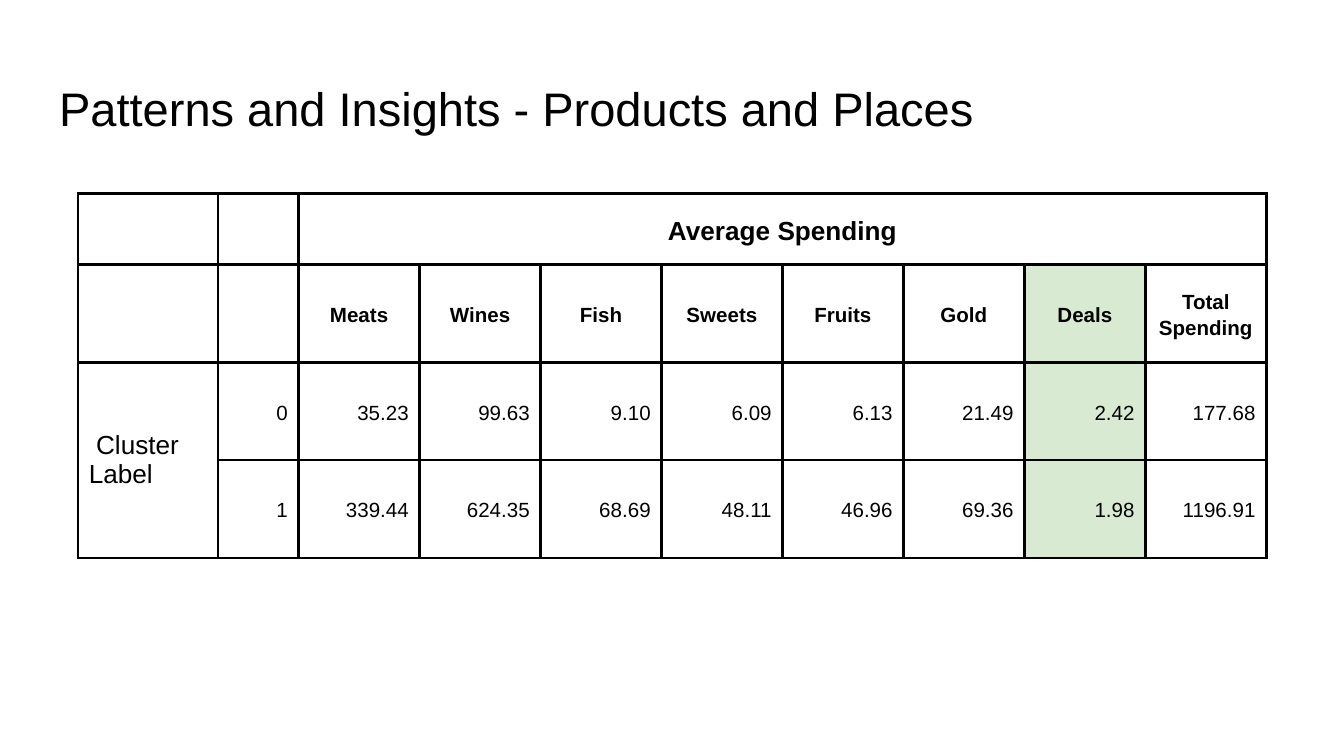
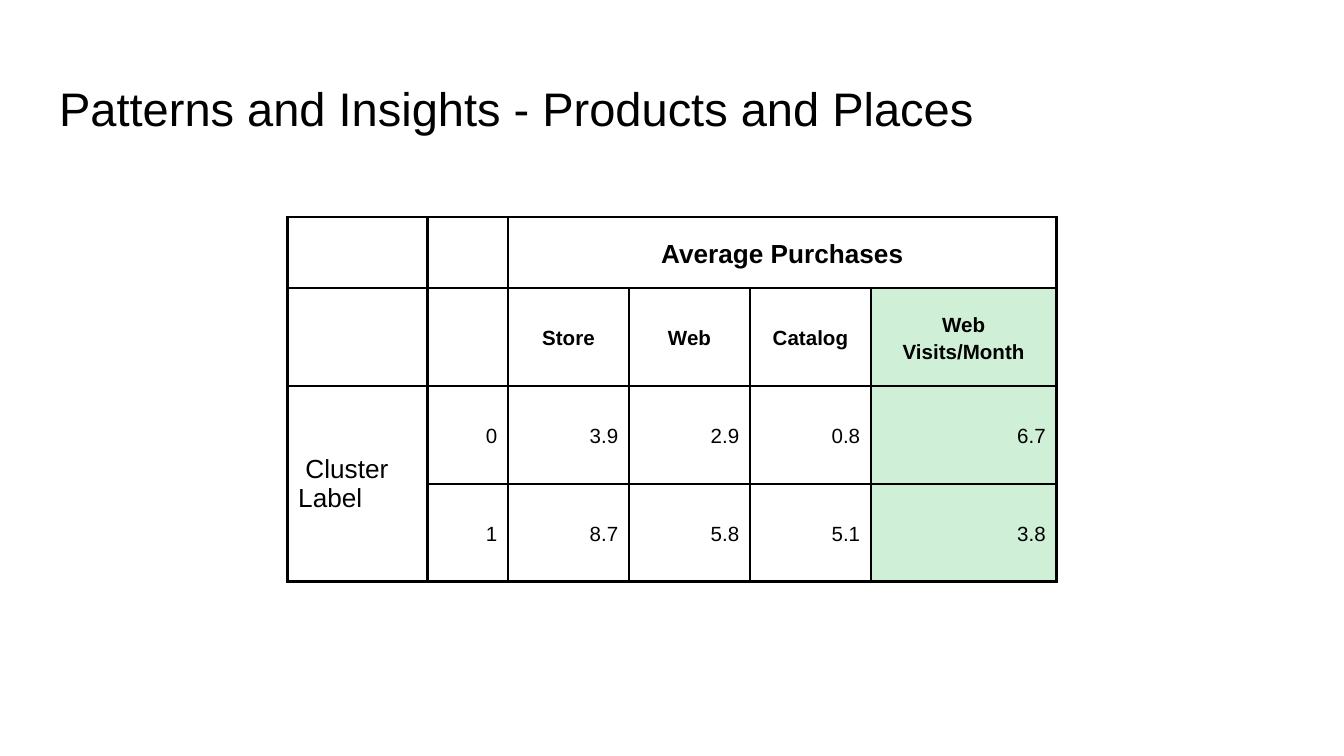
from lxml.etree import SubElement
from pptx import Presentation
from pptx.dml.color import RGBColor
from pptx.enum.text import MSO_ANCHOR, PP_ALIGN
from pptx.oxml.ns import qn
from pptx.util import Pt

TITLE = "Patterns and Insights - Products and Places"
SIDE = " Cluster Label"
FONT, INK, PAPER = "Arial", "000000", "FFFFFF"
ROWS = [38.2, 52.4, 52.4, 52.4]
SIDES = [75, 43.2]
UNIT = 64.8

TABLES = [
    {
        "head": "Average Spending",
        "at": (41.8, 103.6),
        "cols": ["Meats", "Wines", "Fish", "Sweets", "Fruits", "Gold",
                 "Deals", "Total Spending"],
        "wide": {},
        "data": [
            ["35.23", "99.63", "9.10", "6.09", "6.13", "21.49", "2.42", "177.68"],
            ["339.44", "624.35", "68.69", "48.11", "46.96", "69.36", "1.98", "1196.91"],
        ],
        "mark": ("Deals", "D9EAD3"),
    },
    {
        "head": "Average Purchases",
        "at": (154, 116.2),
        "cols": ["Store", "Web", "Catalog", "Web Visits/Month"],
        "wide": {"Web Visits/Month": 99.4},
        "data": [
            ["3.9", "2.9", "0.8", "6.7"],
            ["8.7", "5.8", "5.1", "3.8"],
        ],
        "mark": ("Web Visits/Month", "CFEFD6"),
    },
]


def color(code):
    return RGBColor.from_string(code)


def style(par, size, bold=False):
    for run in par.runs:
        run.font.name = FONT
        run.font.size = Pt(size)
        run.font.bold = bold
        run.font.color.rgb = color(INK)


def frame(cell, fill):
    props = cell._tc.get_or_add_tcPr()
    for tag in ("a:lnL", "a:lnR", "a:lnT", "a:lnB"):
        line = SubElement(props, qn(tag), w=str(Pt(1.5)))
        paint = SubElement(line, qn("a:solidFill"))
        SubElement(paint, qn("a:srgbClr"), val=INK)
    cell.fill.solid()
    cell.fill.fore_color.rgb = color(fill)
    cell.margin_left = cell.margin_right = Pt(5.76)
    cell.margin_top = cell.margin_bottom = Pt(5.76)
    cell.vertical_anchor = MSO_ANCHOR.MIDDLE


def write(cell, text, size, bold=False, align=None):
    cell.text_frame.text = text
    par = cell.text_frame.paragraphs[0]
    style(par, size, bold)
    if align is not None:
        par.alignment = align
        par.line_spacing = 1.15
        par.space_after = Pt(11)


def add_title(slide):
    box = slide.shapes.title
    box.left, box.top, box.width, box.height = Pt(24.5), Pt(35), Pt(671), Pt(45.4)
    text = box.text_frame
    text.text = TITLE
    text.word_wrap = True
    text.vertical_anchor = MSO_ANCHOR.MIDDLE
    text.margin_left = text.margin_right = Pt(7.2)
    text.margin_top = text.margin_bottom = Pt(7.2)
    par = text.paragraphs[0]
    par.alignment = PP_ALIGN.LEFT
    par.line_spacing = 1.0
    par.space_before = Pt(0)
    style(par, 25.2)


def add_grid(slide, item):
    names = item["cols"]
    widths = SIDES + [item["wide"].get(name, UNIT) for name in names]
    left, top = item["at"]
    shape = slide.shapes.add_table(
        len(ROWS), len(widths), Pt(left), Pt(top), Pt(sum(widths)), Pt(sum(ROWS)))
    table = shape.table
    table.first_row = table.horz_banding = False
    for col, width in zip(table.columns, widths):
        col.width = Pt(width)
    for row, height in zip(table.rows, ROWS):
        row.height = Pt(height)

    name, tint = item["mark"]
    spot = len(SIDES) + names.index(name)
    for r in range(len(ROWS)):
        for c in range(len(widths)):
            frame(table.cell(r, c), tint if r and c == spot else PAPER)

    table.cell(0, 2).merge(table.cell(0, len(widths) - 1))
    table.cell(2, 0).merge(table.cell(3, 0))
    write(table.cell(0, 2), item["head"], 14, True, PP_ALIGN.CENTER)
    write(table.cell(2, 0), SIDE, 14)
    for c, name in enumerate(names, 2):
        write(table.cell(1, c), name, 11, True, PP_ALIGN.CENTER)
    for r, vals in enumerate(item["data"]):
        for c, val in enumerate([str(r)] + vals, 1):
            write(table.cell(r + 2, c), val, 11, False, PP_ALIGN.RIGHT)


def main():
    deck = Presentation()
    deck.slide_width, deck.slide_height = Pt(720), Pt(405)
    for item in TABLES:
        slide = deck.slides.add_slide(deck.slide_layouts[5])
        add_title(slide)
        add_grid(slide, item)
    deck.save("out.pptx")


if __name__ == "__main__":
    main()
